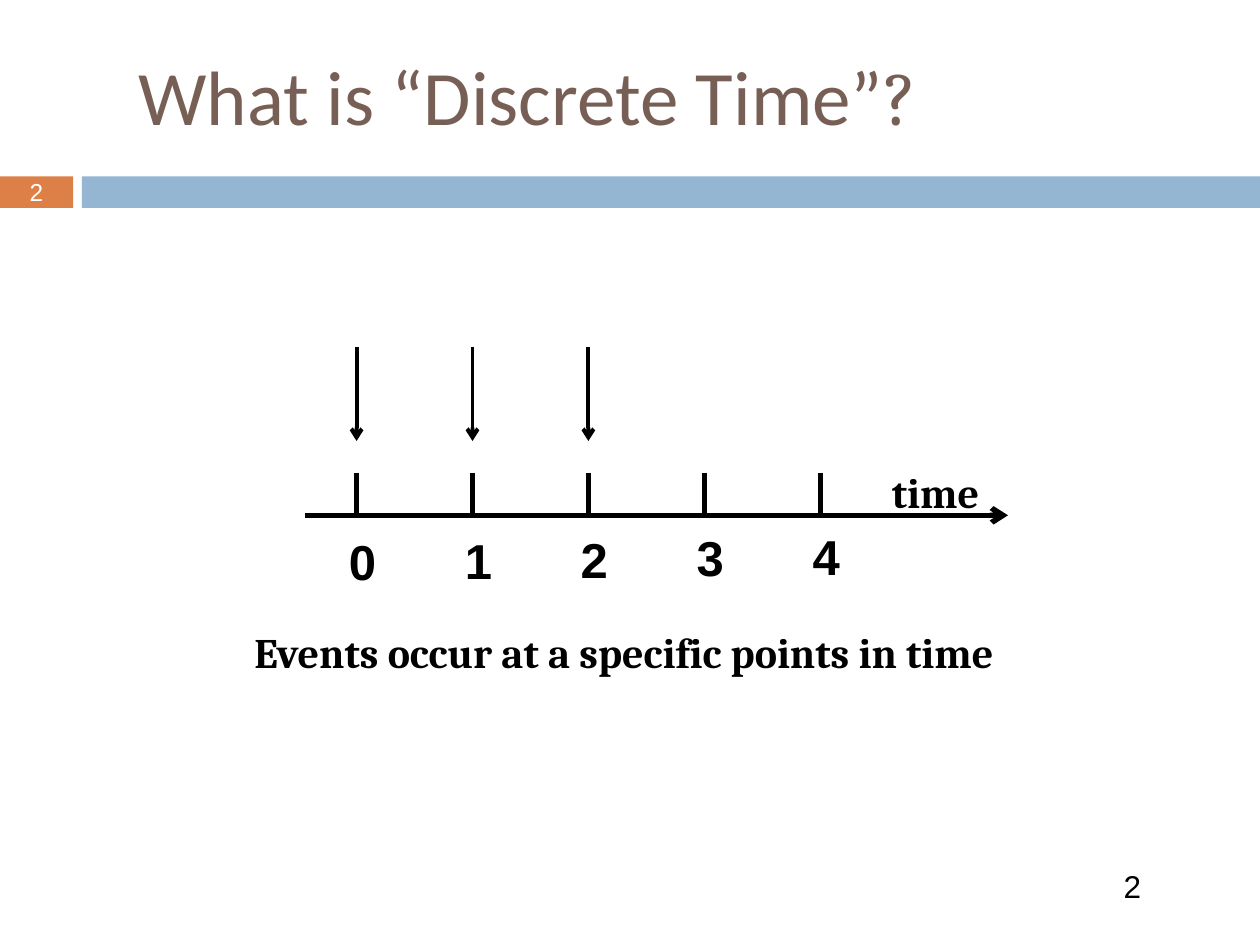
from lxml import etree
from pptx import Presentation
from pptx.dml.color import RGBColor
from pptx.enum.shapes import MSO_CONNECTOR, MSO_SHAPE
from pptx.enum.text import MSO_ANCHOR, MSO_AUTO_SIZE, PP_ALIGN
from pptx.oxml.ns import qn
from pptx.util import Inches, Pt

RECTANGLE = MSO_SHAPE.RECTANGLE
STRAIGHT = MSO_CONNECTOR.STRAIGHT
MIDDLE = MSO_ANCHOR.MIDDLE
LEFT = PP_ALIGN.LEFT
CENTER = PP_ALIGN.CENTER
FIT_SHAPE = MSO_AUTO_SIZE.SHAPE_TO_FIT_TEXT
FIXED = MSO_AUTO_SIZE.NONE

BLACK = "000000"
WHITE = "FFFFFF"
ORANGE = "DD8047"
BLUE = "94B6D2"
BROWN = "775F55"

BAR_TOP = 1.4
BAR_HEIGHT = 0.25
BADGE_WIDTH = 0.58
AXIS_Y = 4.09
FIRST_TICK = 2.83
TICK_STEP = 0.92
TICK_COUNT = 5
EVENT_COUNT = 3

PAGE_NUMBER = {"name": "Arial", "size": Pt(18)}
BADGE = {"name": "Arial", "size": Pt(14)}
TITLE = {"name": "Calibri", "size": Pt(44)}
TITLE_MARK = {"name": "Cambria", "size": Pt(44)}
NUMBER = {"name": "Arial", "size": Pt(28), "bold": True}
CAPTION = {"name": "Cambria", "size": Pt(24), "bold": True}

GROWING = {"word_wrap": False, "auto_size": FIT_SHAPE}
CENTERED = {
    "word_wrap": True,
    "auto_size": FIXED,
    "vertical_anchor": MIDDLE,
    "margin_top": 0,
    "margin_bottom": 0,
}


def set_color(target, color):
    target.rgb = RGBColor.from_string(color)


def set_values(target, values):
    for name, value in values.items():
        setattr(target, name, value)


def add_bar(page, left, width, color):
    place = (left, BAR_TOP, width, BAR_HEIGHT)
    bar = page.shapes.add_shape(RECTANGLE, *map(Inches, place))
    bar.shadow.inherit = False
    bar.fill.solid()
    set_color(bar.fill.fore_color, color)
    bar.line.fill.background()


def add_text(page, place, spans, color=BLACK, layout=GROWING, align=LEFT):
    box = page.shapes.add_textbox(*map(Inches, place))
    set_values(box.text_frame, layout)
    para = box.text_frame.paragraphs[0]
    para.alignment = align
    for text, style in spans:
        span = para.add_run()
        span.text = text
        set_values(span.font, style)
        set_color(span.font.color, color)


def add_line(page, start, end, weight, arrow=False):
    line = page.shapes.add_connector(STRAIGHT, *map(Inches, start + end))
    set_color(line.line.color, BLACK)
    line.line.width = Pt(weight)
    properties = line._element.spPr
    if arrow:
        etree.SubElement(properties.find(qn("a:ln")), qn("a:tailEnd"), type="arrow")
    etree.SubElement(properties, qn("a:effectLst"))


def add_timeline(page):
    add_line(page, (2.42, AXIS_Y), (8, AXIS_Y), 3, arrow=True)
    for index in range(TICK_COUNT):
        x = FIRST_TICK + index * TICK_STEP
        add_line(page, (x, 3.75), (x, AXIS_Y), 3)
        number_top = 4.17 - 0.01 * index
        add_text(page, (x - 0.16, number_top, 0.32, 0.57), [(str(index), NUMBER)])
        if index < EVENT_COUNT:
            add_line(page, (x, 2.75), (x, 3.5), 2.25, arrow=True)
    add_text(page, (6.98, 3.65, 0.89, 0.5), [("time", CAPTION)])


def main():
    deck = Presentation()
    deck.slide_width, deck.slide_height = Inches(10), Inches(7.5)
    page = deck.slides.add_slide(deck.slide_layouts[6])
    add_bar(page, 0, BADGE_WIDTH, ORANGE)
    add_bar(page, 0.65, 9.35, BLUE)
    add_text(page, (8.82, 6.83, 1.34, 0.4), [("2", PAGE_NUMBER)])
    badge_place = (0, BAR_TOP, BADGE_WIDTH, BAR_HEIGHT)
    add_text(page, badge_place, [("2", BADGE)], WHITE, CENTERED, CENTER)
    title = [("What is “Discrete Time”", TITLE), ("?", TITLE_MARK)]
    add_text(page, (1, 0, 9, 1.5), title, BROWN, CENTERED)
    add_timeline(page)
    caption = "Events occur at a specific points in time"
    add_text(page, (1.92, 4.92, 6.08, 0.5), [(caption, CAPTION)])
    deck.save("out.pptx")


if __name__ == "__main__":
    main()
